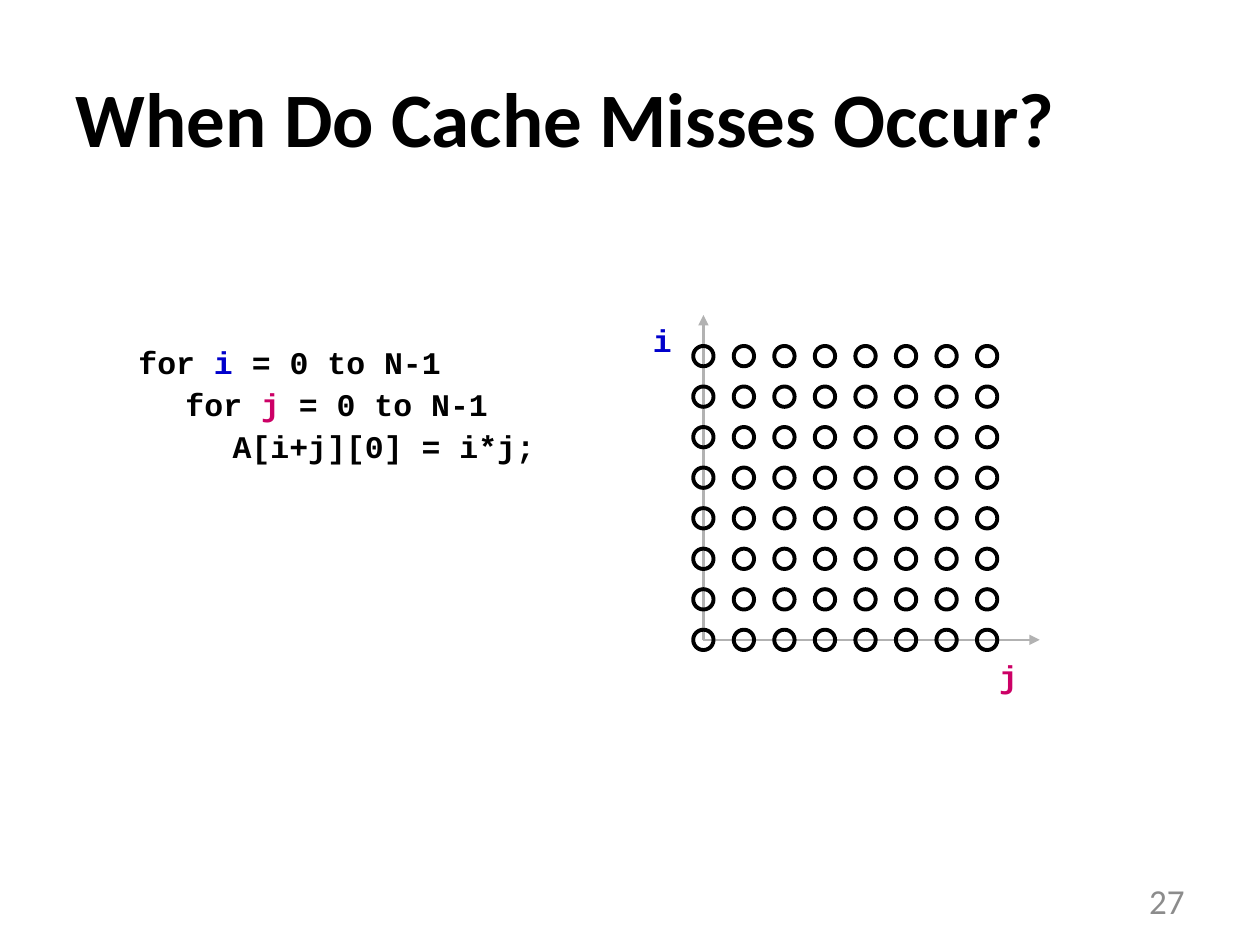
from lxml import etree
from pptx import Presentation
from pptx.dml.color import RGBColor
from pptx.enum.shapes import MSO_CONNECTOR, MSO_SHAPE
from pptx.enum.text import MSO_ANCHOR, MSO_AUTO_SIZE, PP_ALIGN
from pptx.oxml.ns import qn
from pptx.util import Cm, Pt

LINE, OVAL = MSO_CONNECTOR.STRAIGHT, MSO_SHAPE.OVAL
MIDDLE, GROW = MSO_ANCHOR.MIDDLE, MSO_AUTO_SIZE.SHAPE_TO_FIT_TEXT
LEFT, RIGHT = PP_ALIGN.LEFT, PP_ALIGN.RIGHT
COLORS = {"ink": "000000", "i": "0000CC", "j": "CC0066",
          "axis": "B2B2B2", "page": "8C8C8C"}
TABS = (0.95, 1.9)
SIZE = 8


def color(name):
    return RGBColor.from_string(COLORS[name])


def style(font, face, size, bold=False):
    font.name, font.size, font.bold = face, Pt(size), bold


def code_line(par, parts):
    """Fill a paragraph with (text, color) parts set as code."""
    style(par.font, "Courier New", 18, True)
    par.line_spacing = 0.7
    props = par._p.get_or_add_pPr()
    space = etree.Element(qn("a:spcBef"))
    etree.SubElement(space, qn("a:spcPct"), val="50000")
    stops = etree.Element(qn("a:tabLst"))
    for pos in TABS:
        etree.SubElement(stops, qn("a:tab"), pos=str(Cm(pos)), algn="l")
    props.find(qn("a:lnSpc")).addnext(space)
    space.addnext(stops)
    for text, name in parts:
        run = par.add_run()
        run.text = text
        run.font.color.rgb = color(name)


def code_box(shapes, x, y, w, h, lines, wrap=True):
    frame = shapes.add_textbox(Cm(x), Cm(y), Cm(w), Cm(h)).text_frame
    frame.word_wrap, frame.auto_size = wrap, GROW
    for n, parts in enumerate(lines):
        par = frame.add_paragraph() if n else frame.paragraphs[0]
        code_line(par, parts)


def add_title(slide, x, y, w, h):
    title = slide.shapes.title
    title.left, title.top, title.width, title.height = map(Cm, (x, y, w, h))
    frame = title.text_frame
    frame.text = "When Do Cache Misses Occur?"
    frame.vertical_anchor = MIDDLE
    par = frame.paragraphs[0]
    par.alignment = LEFT
    style(par.font, "Calibri", 44, True)
    par.font.color.rgb = color("ink")


def add_loop(slide, x, y, w, h):
    code_box(slide.shapes, x, y, w, h, [
        [("for ", "ink"), ("i", "i"), (" = 0 to N-1", "ink")],
        [("\tfor ", "ink"), ("j", "j"), (" = 0 to N-1", "ink")],
        [("\t\tA[i+j][0] = i*j;", "ink")],
    ])


def add_axis(shapes, x1, y1, x2, y2):
    axis = shapes.add_connector(LINE, Cm(x1), Cm(y1), Cm(x2), Cm(y2))
    axis.line.color.rgb = color("axis")
    axis.line.width = Pt(1.5)
    etree.SubElement(axis.line._get_or_add_ln(), qn("a:tailEnd"),
                     type="triangle")
    etree.SubElement(axis._element.spPr, qn("a:effectLst"))


def add_grid(slide, x, y, w, h):
    """Draw the iteration space; its box runs from i's top to j's tip."""
    shapes = slide.shapes.add_group_shape().shapes
    dot, span = 0.41, 5.72
    step = span / (SIZE - 1)
    base = y + h

    # Axes and their labels
    add_axis(shapes, x, base, x, y)
    add_axis(shapes, x, base, x + w, base)
    code_box(shapes, x - 1.27, y + 0.21, 0.81, 0.79, [[("i", "i")]], False)
    code_box(shapes, x + 5.71, base + 0.43, 0.81, 0.79, [[("j", "j")]], False)

    # Iteration points, from the bottom row up
    for row in range(SIZE):
        for col in range(SIZE):
            point = shapes.add_shape(
                OVAL, Cm(x - dot / 2 + col * step),
                Cm(base - dot / 2 - row * step), Cm(dot), Cm(dot))
            point.shadow.inherit = False
            point.fill.background()
            point.line.color.rgb = color("ink")
            point.line.width = Pt(2.25)


def add_page(slide, x, y, w, h):
    frame = slide.shapes.add_textbox(Cm(x), Cm(y), Cm(w), Cm(h)).text_frame
    frame.word_wrap, frame.vertical_anchor = True, MIDDLE
    par = frame.paragraphs[0]
    par.text, par.alignment = "27", RIGHT
    style(par.font, "Calibri", 20)
    par.font.color.rgb = color("page")


def main():
    deck = Presentation()
    deck.slide_width, deck.slide_height = Cm(25.4), Cm(19.05)
    slide = deck.slides.add_slide(deck.slide_layouts[5])
    add_title(slide, 1.27, 0.76, 22.86, 3.18)
    add_loop(slide, 2.54, 6.99, 9.32, 2.62)
    add_grid(slide, 14.18, 6.35, 6.78, 6.55)
    add_page(slide, 18.2, 17.65, 5.93, 1.01)
    deck.save("out.pptx")


if __name__ == "__main__":
    main()
